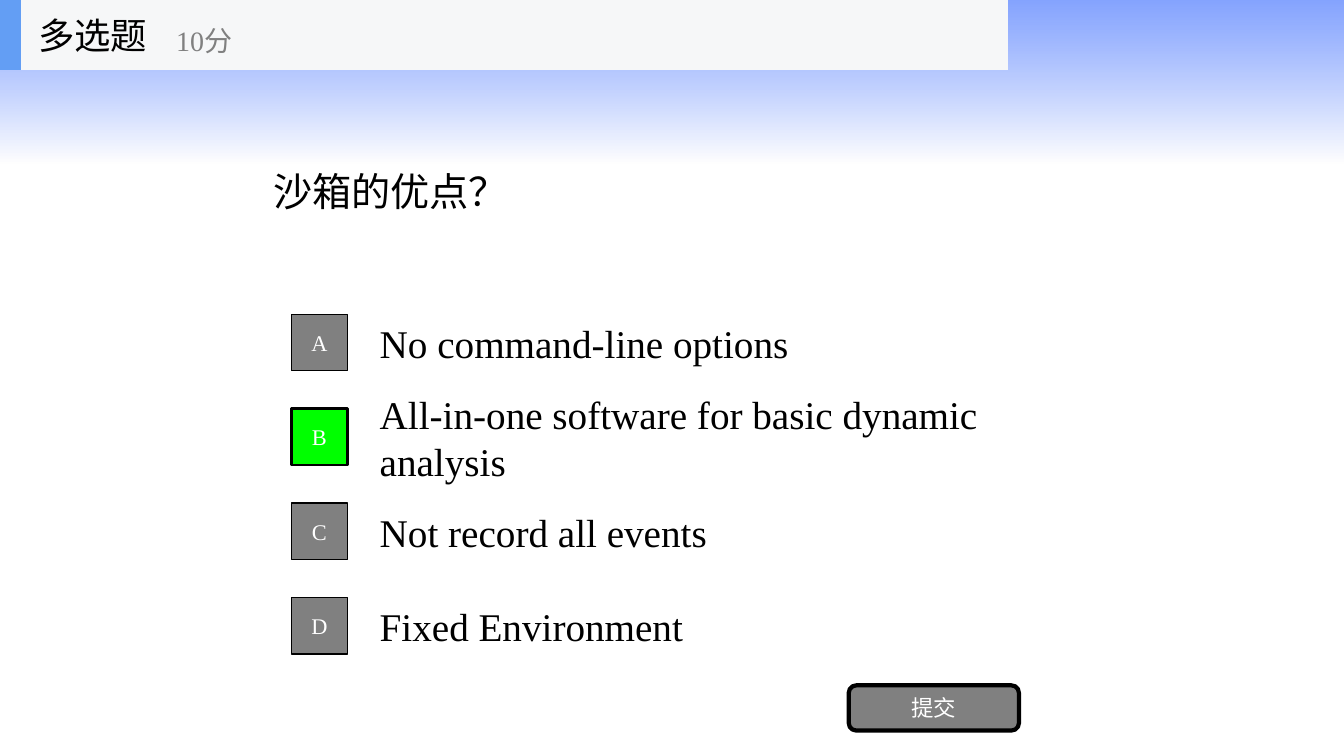
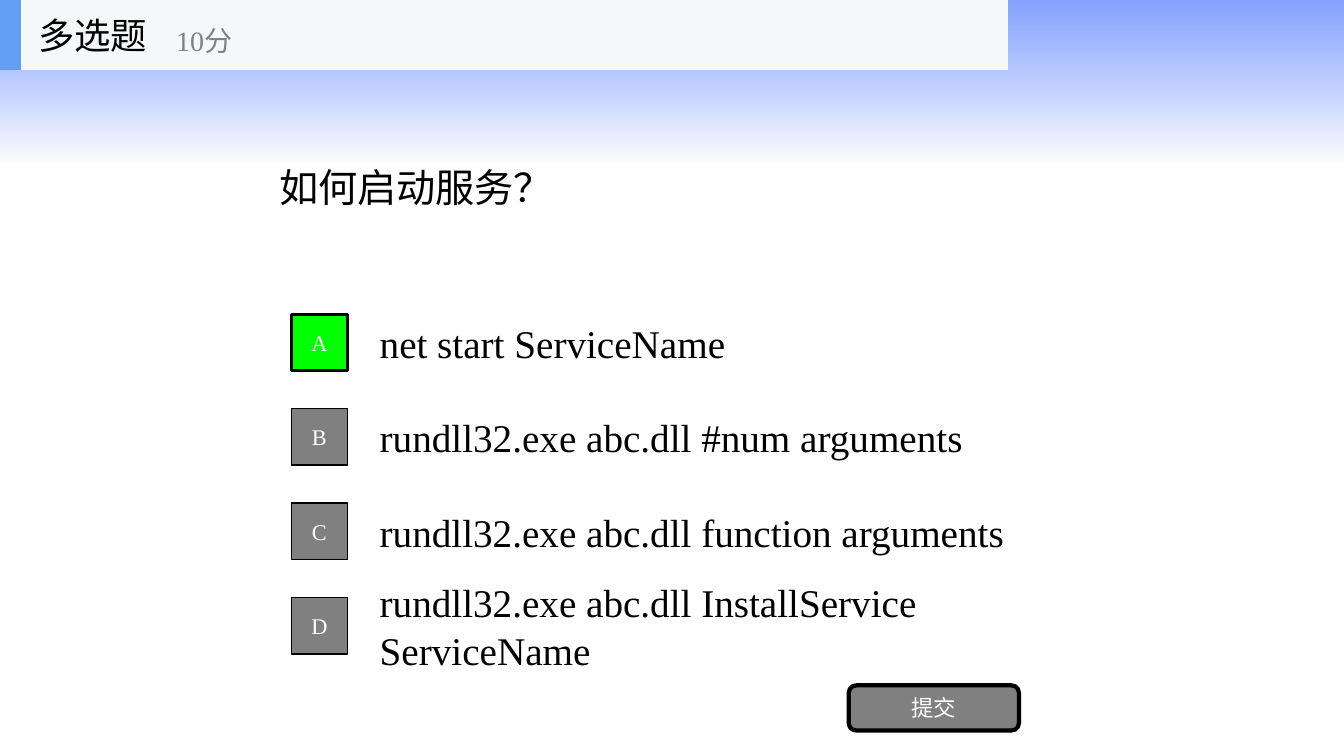
"""Build two multiple-choice quiz slides with a shared header and option grid."""
from dataclasses import dataclass
from typing import Any

from lxml.etree import SubElement
from pptx import Presentation
from pptx.dml.color import RGBColor
from pptx.enum.shapes import MSO_SHAPE
from pptx.enum.text import MSO_ANCHOR, MSO_AUTO_SIZE, PP_ALIGN
from pptx.oxml.ns import qn
from pptx.util import Cm, Pt


@dataclass(frozen=True)
class Theme:
    """Colours, fonts and type sizes shared by the slides."""

    black: str = "000000"
    white: str = "FFFFFF"
    grey: str = "808080"
    correct: str = "00FF00"
    header: str = "F6F7F8"
    accent: str = "639EF4"
    band: str = "3366FF"
    latin: str = "Times New Roman"
    chinese: str = "Noto Sans CJK SC"
    body_size: int = 28
    heading_size: int = 26
    score_size: int = 20
    button_size: int = 16


@dataclass(frozen=True)
class Box:
    """A rectangle in centimetres."""

    left: float
    top: float
    width: float
    height: float

    def lengths(self) -> tuple:
        """Return the four values as slide lengths."""
        return tuple(Cm(value) for value in (self.left, self.top, self.width, self.height))


@dataclass(frozen=True)
class Question:
    """One quiz question with its options and correct letter."""

    text: str
    box: Box
    font: str
    options: tuple[str, ...]
    correct: str


THEME = Theme()
SLIDE_WIDTH, SLIDE_HEIGHT = 33.87, 19.05
HEADER_HEIGHT = 1.76
OPTION_TOP, OPTION_PITCH, OPTION_HEIGHT = 7.74, 2.38, 1.78
BADGE_SIZE = 1.42
QUESTIONS = (
    Question(
        "沙箱的优点？", Box(6.63, 1.85, 21.74, 5.94), THEME.latin,
        ("No command-line options", "All-in-one software for basic dynamic analysis",
         "Not record all events", "Fixed Environment"),
        "B",
    ),
    Question(
        "如何启动服务？", Box(6.78, 1.75, 20.32, 5.94), THEME.chinese,
        ("net start ServiceName", "rundll32.exe abc.dll #num arguments",
         "rundll32.exe abc.dll function arguments",
         "rundll32.exe abc.dll InstallService ServiceName"),
        "A",
    ),
)


def write_text(shape: Any, text: str, size: int, color: str = THEME.black,
               font: str = THEME.latin, align: PP_ALIGN = PP_ALIGN.LEFT) -> None:
    """Put one formatted, vertically centred paragraph in a shape."""
    frame = shape.text_frame
    frame_format = {"word_wrap": True, "auto_size": MSO_AUTO_SIZE.NONE,
                    "vertical_anchor": MSO_ANCHOR.MIDDLE}
    for name, value in frame_format.items():
        setattr(frame, name, value)
    paragraph = frame.paragraphs[0]
    paragraph.alignment = align
    run = paragraph.add_run()
    run.text = text
    for name, value in {"name": font, "size": Pt(size), "bold": False}.items():
        setattr(run.font, name, value)
    run.font.color.rgb = RGBColor.from_string(color)
    SubElement(run.font._element, qn("a:ea"), typeface=THEME.chinese)


def add_panel(shapes: Any, box: Box, fill: str, line_width: float = 0,
              kind: MSO_SHAPE = MSO_SHAPE.RECTANGLE) -> Any:
    """Add a filled shape, outlined in black when a line width is given."""
    shape = shapes.add_shape(kind, *box.lengths())
    shape.shadow.inherit = False
    shape.fill.solid()
    shape.fill.fore_color.rgb = RGBColor.from_string(fill)
    if line_width:
        shape.line.color.rgb = RGBColor.from_string(THEME.black)
        shape.line.width = Pt(line_width)
    else:
        shape.line.fill.background()
    return shape


def add_button(shapes: Any, box: Box, text: str, fill: str, line_width: float,
               kind: MSO_SHAPE = MSO_SHAPE.RECTANGLE) -> None:
    """Add an outlined shape with a centred white label."""
    button = add_panel(shapes, box, fill, line_width, kind)
    write_text(button, text, THEME.button_size, THEME.white, align=PP_ALIGN.CENTER)


def add_label(shapes: Any, box: Box, text: str, size: int, color: str = THEME.black) -> None:
    """Add a left-aligned text box."""
    write_text(shapes.add_textbox(*box.lengths()), text, size, color)


def add_master_band(presentation: Any, slide: Any) -> None:
    """Draw the fading band and place it behind everything on the master."""
    band = add_panel(slide.shapes, Box(0, 0, SLIDE_WIDTH, 4.11), THEME.band)
    band.fill.gradient()
    band.fill.gradient_angle = 270
    stops = ((0, THEME.band, 60), (1, THEME.white, 70))
    for stop, (position, color, opacity) in zip(band.fill.gradient_stops, stops):
        stop.position = position
        stop.color.rgb = RGBColor.from_string(color)
        color_element = stop._gs.find(qn("a:srgbClr"))
        SubElement(color_element, qn("a:alpha"), val=str(opacity * 1000))
    presentation.slide_master.shapes._spTree.insert(2, band._element)


def add_header(slide: Any) -> None:
    """Add the grouped header with question type and score."""
    shapes = slide.shapes.add_group_shape().shapes
    add_panel(shapes, Box(0, 0, 25.4, HEADER_HEIGHT), THEME.header)
    add_panel(shapes, Box(0, 0, 0.53, HEADER_HEIGHT), THEME.accent)
    add_label(shapes, Box(0.71, 0, 5.28, HEADER_HEIGHT), "多选题", THEME.heading_size)
    add_label(shapes, Box(4.19, 0.3, 6.35, 1.42), "10分", THEME.score_size, THEME.grey)


def add_options(slide: Any, question: Question) -> None:
    """Add lettered options at an equal pitch, marking the correct one."""
    for index, (letter, option) in enumerate(zip("ABCD", question.options)):
        top = OPTION_TOP + index * OPTION_PITCH
        add_label(slide.shapes, Box(9.32, top, 17.78, OPTION_HEIGHT), option, THEME.body_size)
        badge_top = top + (OPTION_HEIGHT - BADGE_SIZE) / 2
        fill, line_width = (THEME.correct, 2) if letter == question.correct else (THEME.grey, 1)
        add_button(slide.shapes, Box(7.34, badge_top, BADGE_SIZE, BADGE_SIZE),
                   letter, fill, line_width)


def add_question(slide: Any, question: Question) -> None:
    """Fill one slide with a question, its options and the submit button."""
    title = slide.shapes.title
    for name, value in zip(("left", "top", "width", "height"), question.box.lengths()):
        setattr(title, name, value)
    write_text(title, question.text, THEME.body_size, font=question.font)
    add_options(slide, question)
    add_button(slide.shapes, Box(21.39, 17.27, 4.29, 1.14), "提交", THEME.grey, 3,
               MSO_SHAPE.ROUNDED_RECTANGLE)
    add_header(slide)


def main() -> None:
    """Build and save the presentation."""
    presentation = Presentation()
    presentation.slide_width = Cm(SLIDE_WIDTH)
    presentation.slide_height = Cm(SLIDE_HEIGHT)
    title_only = presentation.slide_layouts[5]
    for index, question in enumerate(QUESTIONS):
        slide = presentation.slides.add_slide(title_only)
        if index == 0:
            add_master_band(presentation, slide)
        add_question(slide, question)
    presentation.save("out.pptx")


if __name__ == "__main__":
    main()
